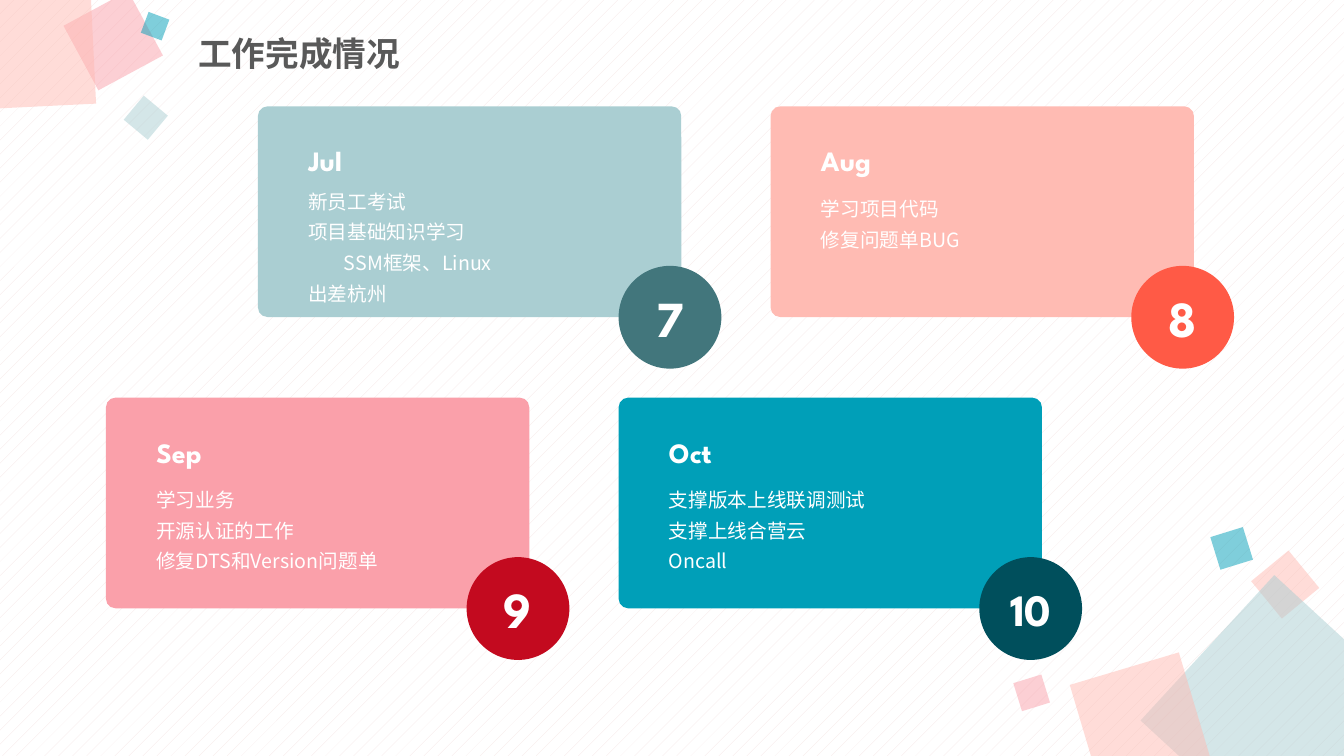
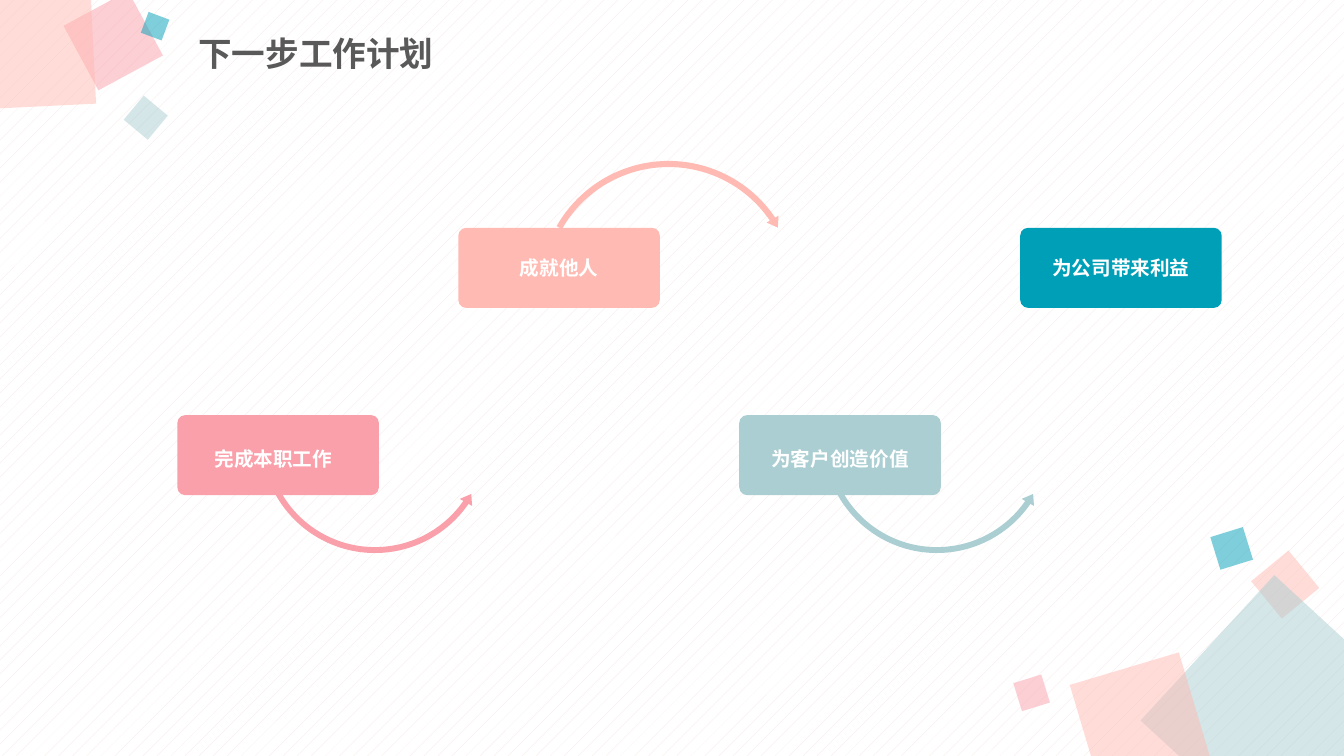
from dataclasses import dataclass

from lxml import etree
from pptx import Presentation
from pptx import util as u
from pptx.dml import color as clr
from pptx.enum import dml, shapes, text
from pptx.oxml import ns


@dataclass(frozen=True)
class Theme:
    """Hold the colours, fonts and type sizes of the deck."""

    white: str = "FFFFFF"
    stripe: str = "F5E5E4"
    title: str = "595959"
    mist: str = "AACED2"
    peach: str = "FFBBB3"
    pink: str = "FAA0AA"
    teal: str = "009FB8"
    slate: str = "42767C"
    coral: str = "FF5A46"
    red: str = "C30A1F"
    petrol: str = "004F5C"
    cjk: str = "Noto Sans CJK SC"
    display: str = "League Spartan"
    title_size: int = 24
    heading_size: int = 20
    body_size: int = 14
    number_size: int = 36
    long_number_size: int = 32


T = Theme()
KIND = shapes.MSO_SHAPE
ALIGN = text.PP_ALIGN

SQUARES = [
    (31.78, 14.12, 1.22, 320.6, T.peach),
    (29.77, 15.52, 4.98, 42.6, T.mist),
    (27.31, 16.79, 2.87, 343.4, T.peach),
    (25.63, 17.09, 0.74, 342.8, T.pink),
    (30.61, 13.39, 0.86, 342.8, T.teal),
    (1.93, 0.1, 1.85, 331.6, T.pink),
    (-1.17, -0.81, 3.51, 357.2, T.peach),
    (3.28, 2.57, 0.79, 309.8, T.mist),
    (3.63, 0.38, 0.56, 290.5, T.teal),
]

ROW_STARTS = [(6.5, 2.68), (2.67, 10.02)]
CARD_PITCH = 12.92
MONTHS = [
    ("Jul", "7", T.mist, T.slate, 1.8,
     [("新员工考试", 0), ("项目基础知识学习", 0), ("SSM框架、Linux", 0.9), ("出差杭州", 0)]),
    ("Aug", "8", T.peach, T.coral, 1.98,
     [("学习项目代码", 0), ("修复问题单BUG", 0)]),
    ("Sep", "9", T.pink, T.red, 1.98,
     [("学习业务", 0), ("开源认证的工作", 0), ("修复DTS和Version问题单", 0)]),
    ("Oct", "10", T.teal, T.petrol, 1.98,
     [("支撑版本上线联调测试", 0), ("支撑上线合营云", 0), ("Oncall", 0)]),
]

STEP_LEFT, STEP_PITCH = 4.47, 7.08
LOWER_TOP, UPPER_TOP = 10.46, 5.74
STEPS = [
    ("完成本职工作", T.pink, 0.03),
    ("成就他人", T.peach, 0.15),
    ("为客户创造价值", T.mist, 0.15),
    ("为公司带来利益", T.teal, 0.15),
]
LOWER_ARC = (KIND.LEFT_CIRCULAR_ARROW, 2.01, 8.1, 5.94,
             (0.025, 3.094, 20.849, 90.4, 0.03))
UPPER_ARC = (KIND.CIRCULAR_ARROW, 1.96, 3.96, 6.68,
             (0.023, 2.738, 195.507, 125.755, 0.026))


def add_shape(s, kind, left, top, width, height, fill, adjustments=()):
    """Add a flat preset shape with lengths in centimetres."""
    sp = s.shapes.add_shape(kind, *map(u.Cm, (left, top, width, height)))
    sp.shadow.inherit = False
    sp.fill.solid()
    sp.fill.fore_color.rgb = clr.RGBColor.from_string(fill)
    sp.line.fill.background()
    for index, value in enumerate(adjustments):
        sp.adjustments[index] = value
    return sp


def add_run(p, words, size, font, color=T.white, bold=False):
    """Add a styled run that also names its East Asian font."""
    r = p.add_run()
    r.text = words
    r.font.size = u.Pt(size)
    r.font.bold = bold
    r.font.name = font
    r.font.color.rgb = clr.RGBColor.from_string(color)
    ea = etree.SubElement(r.font._element, ns.qn("a:ea"))
    ea.set("typeface", T.cjk)


def add_text(s, left, top, width, height, lines, size, font, color=T.white,
             bold=False, align=ALIGN.LEFT, spacing=1.3,
             anchor=text.MSO_ANCHOR.TOP):
    """Add a wrapped text box from pairs of words and indent."""
    sp = s.shapes.add_textbox(*map(u.Cm, (left, top, width, height)))
    tf = sp.text_frame
    tf.word_wrap = True
    tf.vertical_anchor = anchor
    for index, (words, indent) in enumerate(lines):
        p = tf.add_paragraph() if index else tf.paragraphs[0]
        p.alignment = align
        p.line_spacing = spacing
        if indent:
            p._p.get_or_add_pPr().set("marL", str(u.Cm(indent)))
        add_run(p, words, size, font, color, bold)


def add_square(s, left, top, size, angle, fill):
    """Add one turned, half transparent square."""
    sp = add_shape(s, KIND.RECTANGLE, left, top, size, size, fill)
    sp.rotation = angle
    tint = sp._element.spPr.find(".//" + ns.qn("a:srgbClr"))
    etree.SubElement(tint, ns.qn("a:alpha")).set("val", "50000")


def add_slide(prs, title):
    """Add a slide with the shared background, squares and title."""
    s = prs.slides.add_slide(prs.slide_layouts[6])
    fill = s.background.fill
    fill.patterned()
    fill.pattern = dml.MSO_PATTERN.PERCENT_5
    fill.fore_color.rgb = clr.RGBColor.from_string(T.stripe)
    fill.back_color.rgb = clr.RGBColor.from_string(T.white)
    for square in SQUARES:
        add_square(s, *square)
    add_text(s, 4.75, 0.66, 15.57, 1.47, [(title, 0)], T.title_size, T.cjk,
             T.title, bold=True, spacing=0.9, anchor=text.MSO_ANCHOR.MIDDLE)
    return s


def add_badge(s, left, top, number, fill):
    """Add a round badge with a number."""
    sp = add_shape(s, KIND.OVAL, left, top, 2.59, 2.59, fill)
    tf = sp.text_frame
    tf.vertical_anchor = text.MSO_ANCHOR.MIDDLE
    p = tf.paragraphs[0]
    p.alignment = ALIGN.CENTER
    size = T.number_size if len(number) == 1 else T.long_number_size
    add_run(p, number, size, T.display, bold=True)


def add_month(s, left, top, month, number, fill, badge_fill, body_top, lines):
    """Add a month card with its heading, tasks and badge."""
    add_shape(s, KIND.ROUNDED_RECTANGLE, left, top, 10.67, 5.31, fill, [0.046])
    add_badge(s, left + 9.09, top + 4.02, number, badge_fill)
    add_text(s, left + 1.02, top + body_top, 8.81, 0.78 * len(lines), lines,
             T.body_size, T.cjk)
    add_text(s, left + 1.02, top + 0.57, 4, 1.24, [(month, 0)],
             T.heading_size, T.display, bold=True)


def add_step(s, index, words, fill, label_shift):
    """Add one step box, its label and the arrow to the next step."""
    left = STEP_LEFT + index * STEP_PITCH
    upper = index % 2 == 1
    top = UPPER_TOP if upper else LOWER_TOP
    if index < len(STEPS) - 1:
        kind, shift, arc_top, size, bends = UPPER_ARC if upper else LOWER_ARC
        add_shape(s, kind, left + shift, arc_top, size, size, fill, bends)
    add_shape(s, KIND.ROUNDED_RECTANGLE, left, top, 5.08, 2.02, fill, [0.1])
    add_text(s, left + label_shift, top + (0.41 if upper else 0.5), 4.78, 0.95,
             [(words, 0)], T.body_size, T.display, bold=True,
             align=ALIGN.CENTER)


def main():
    """Build both slides and save the deck."""
    prs = Presentation()
    prs.slide_width, prs.slide_height = u.Cm(33.87), u.Cm(19.05)

    s = add_slide(prs, "工作完成情况")
    for index, month in enumerate(MONTHS):
        row, column = divmod(index, 2)
        left, top = ROW_STARTS[row]
        add_month(s, left + column * CARD_PITCH, top, *month)

    s = add_slide(prs, "下一步工作计划")
    for index, step in enumerate(STEPS):
        add_step(s, index, *step)

    prs.save("out.pptx")


if __name__ == "__main__":
    main()
